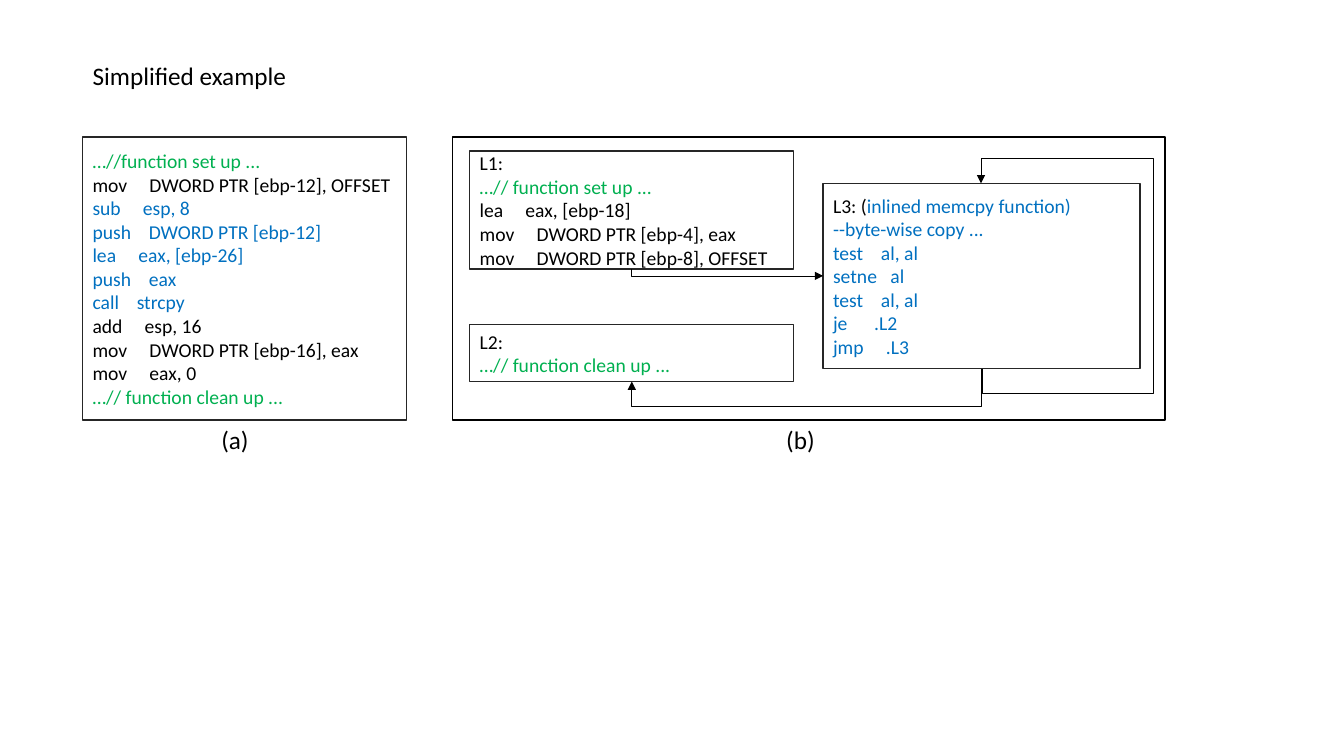
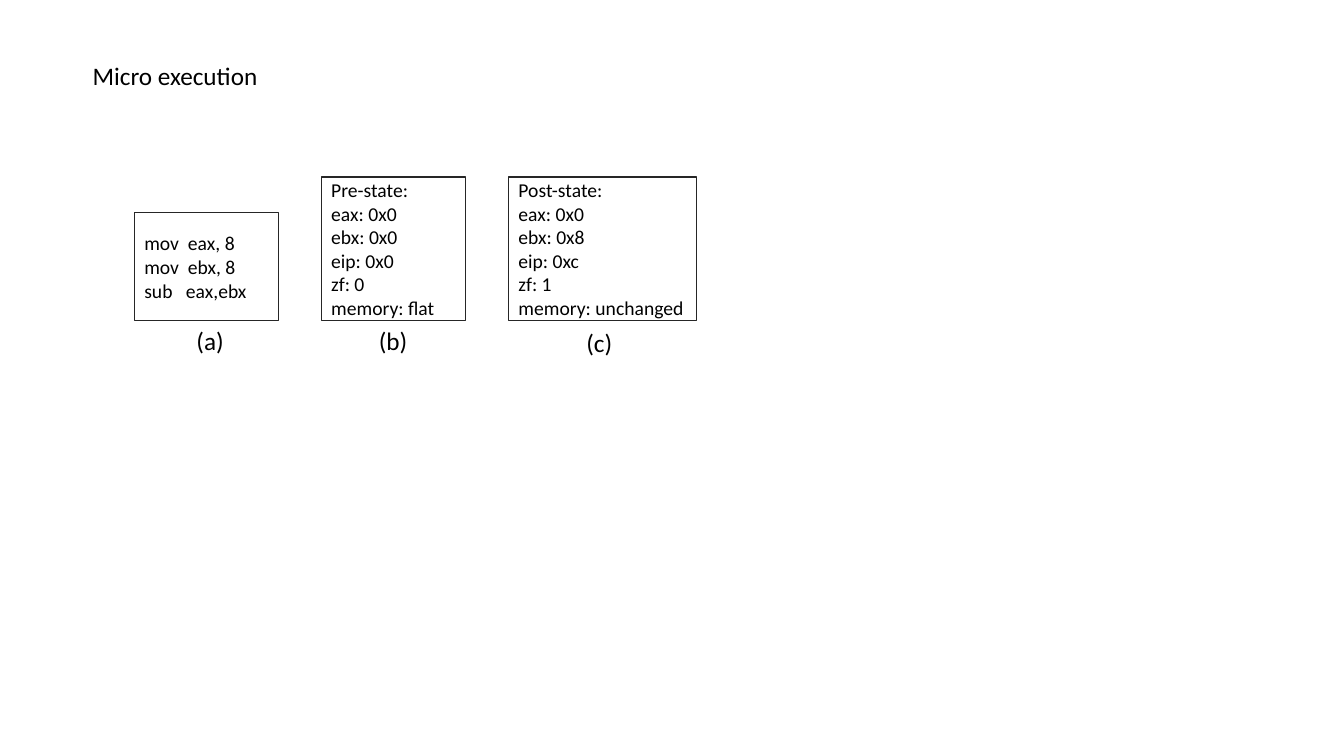
from dataclasses import dataclass
from typing import NamedTuple

from lxml.etree import SubElement
from pptx import Presentation
from pptx.dml.color import RGBColor
from pptx.enum.shapes import MSO_CONNECTOR as Link, MSO_SHAPE as Preset
from pptx.enum.text import MSO_ANCHOR as Anchor, PP_ALIGN as Align
from pptx.oxml.ns import qn
from pptx.shapes.autoshape import Shape
from pptx.slide import Slide
from pptx.text.text import TextFrame
from pptx.util import Pt


# Shared look
@dataclass(frozen=True)
class Theme:
    font: str = "Calibri"
    ink: RGBColor = RGBColor(0, 0, 0)
    border: RGBColor = RGBColor(0x26, 0x26, 0x26)
    note: RGBColor = RGBColor(0x00, 0xB0, 0x50)
    inlined: RGBColor = RGBColor(0x00, 0x70, 0xC0)
    title_size: float = 18
    code_size: float = 14
    border_width: float = 1
    arrow_width: float = 0.5


THEME = Theme()
TITLE_ONLY = 5
TOP, BOTTOM, LEFT = 0, 2, 1  # connection sites of a rectangle
OPCODE_COLUMN = 8


# Content types
class Run(NamedTuple):
    text: str
    color: RGBColor = THEME.ink


class Place(NamedTuple):
    left: float
    top: float
    width: float
    height: float


Line = tuple[Run, ...]


@dataclass(frozen=True)
class CodeBox:
    place: Place
    lines: tuple[Line, ...] = ()
    border: RGBColor = THEME.border


@dataclass(frozen=True)
class Caption:
    text: str
    left: float
    top: float


@dataclass(frozen=True)
class Arrow:
    preset: str
    source: Shape
    target: Shape
    target_site: int
    rotation: int
    flipped: bool = False
    drop: float = 0  # distance below the source box
    side: float = 0  # distance out to the side, for a loop


def plain(text: str) -> Line:
    return (Run(text),)


def note(text: str) -> Line:
    return (Run(text, THEME.note),)


def inlined(text: str) -> Line:
    return (Run(text, THEME.inlined),)


def asm(opcode: str, operands: str, color: RGBColor = THEME.ink) -> Line:
    return (Run(opcode.ljust(OPCODE_COLUMN) + operands, color),)


def inlined_asm(opcode: str, operands: str) -> Line:
    return asm(opcode, operands, THEME.inlined)


# Drawing
def write(frame: TextFrame, lines: tuple[Line, ...], size: float) -> None:
    frame.word_wrap = True
    for index, line in enumerate(lines):
        paragraph = frame.add_paragraph() if index else frame.paragraphs[0]
        paragraph.alignment = Align.LEFT
        paragraph.font.name = THEME.font
        paragraph.font.size = Pt(size)
        paragraph.font.color.rgb = line[0].color
        for part in line:
            run = paragraph.add_run()
            run.text = part.text
            if part.color != line[0].color:
                run.font.color.rgb = part.color


def points(place: Place) -> list[Pt]:
    return [Pt(length) for length in place]


def add_titled_slide(deck: Presentation, heading: str) -> Slide:
    slide = deck.slides.add_slide(deck.slide_layouts[TITLE_ONLY])
    title = slide.shapes.title
    title.left, title.top, title.width, title.height = points(Place(59, 39.5, 252, 29))
    title.text_frame.vertical_anchor = Anchor.TOP
    write(title.text_frame, (plain(heading),), THEME.title_size)
    return slide


def add_box(slide: Slide, box: CodeBox) -> Shape:
    shape = slide.shapes.add_shape(Preset.RECTANGLE, *points(box.place))
    shape.shadow.inherit = False
    shape.fill.background()
    shape.line.color.rgb = box.border
    shape.line.width = Pt(THEME.border_width)
    shape.text_frame.vertical_anchor = Anchor.MIDDLE
    write(shape.text_frame, box.lines, THEME.code_size)
    return shape


def add_caption(slide: Slide, caption: Caption) -> None:
    label = slide.shapes.add_textbox(*points(Place(caption.left, caption.top, 47.5, 29)))
    write(label.text_frame, (plain(caption.text),), THEME.title_size)


def add_arrow(slide: Slide, arrow: Arrow) -> None:
    link = slide.shapes.add_connector(Link.ELBOW, 0, 0, 0, 0)
    link.begin_connect(arrow.source, BOTTOM)
    link.end_connect(arrow.target, arrow.target_site)
    rise, run = link.end_y - link.begin_y, link.end_x - link.begin_x
    center_x = (link.begin_x + link.end_x) // 2
    center_y = (link.begin_y + link.end_y) // 2

    # A turned frame swaps width and height about the same centre
    length, depth = abs(rise), max(abs(run), Pt(1))
    properties = link._element.spPr
    frame = properties.find(qn("a:xfrm"))
    for flip in ("flipH", "flipV"):
        frame.attrib.pop(flip, None)
    if arrow.flipped:
        frame.set("flipH", "1")
    link.left, link.top = center_x - length // 2, center_y - depth // 2
    link.width, link.height = length, depth
    link.rotation = arrow.rotation

    # Bends, as shares of the frame
    bends: list[float] = []
    if arrow.drop:
        bends = [Pt(arrow.drop) / rise]
    if arrow.side:
        bends += [-Pt(arrow.side) / depth, 1 - bends[0]]
    geometry = properties.find(qn("a:prstGeom"))
    geometry.set("prst", arrow.preset)
    guides = geometry.find(qn("a:avLst"))
    for number, bend in enumerate(bends, start=1):
        SubElement(guides, qn("a:gd"), name=f"adj{number}", fmla=f"val {round(bend * 100000)}")

    link.line.color.rgb = THEME.ink
    link.line.width = Pt(THEME.arrow_width)
    SubElement(properties.find(qn("a:ln")), qn("a:tailEnd"), type="triangle")
    SubElement(properties, qn("a:effectLst"))


def build_example(deck: Presentation) -> None:
    slide = add_titled_slide(deck, "Simplified example")

    # (a) Call of the library function
    add_box(slide, CodeBox(Place(59, 98, 231.5, 202), (
        note("…//function set up ..."),
        asm("mov", "DWORD PTR [ebp-12], OFFSET"),
        inlined_asm("sub", "esp, 8"),
        inlined_asm("push", "DWORD PTR [ebp-12]"),
        inlined_asm("lea", "eax, [ebp-26]"),
        inlined_asm("push", "eax"),
        inlined_asm("call", "strcpy"),
        asm("add", "esp, 16"),
        asm("mov", "DWORD PTR [ebp-16], eax"),
        asm("mov", "eax, 0"),
        note("…// function clean up ..."),
    )))

    # (b) Inlined function as blocks
    add_box(slide, CodeBox(Place(323.25, 98, 509, 202), border=THEME.ink))
    setup = add_box(slide, CodeBox(Place(335.5, 108, 231.5, 84.25), (
        plain("L1: "),
        note("…// function set up ..."),
        asm("lea", "eax, [ebp-18]"),
        asm("mov", "DWORD PTR [ebp-4], eax"),
        asm("mov", "DWORD PTR [ebp-8], OFFSET"),
    )))
    copy_loop = add_box(slide, CodeBox(Place(588, 131, 226.5, 132.25), (
        (Run("L3: ("), Run("inlined memcpy function)", THEME.inlined)),
        inlined("--byte-wise copy ..."),
        inlined_asm("test", "al, al"),
        inlined_asm("setne", "al"),
        inlined_asm("test", "al, al"),
        inlined_asm("je", ".L2"),
        inlined_asm("jmp", ".L3"),
    )))
    cleanup = add_box(slide, CodeBox(Place(335.5, 232, 231.5, 40.5), (
        plain("L2:"),
        note("…// function clean up ..."),
    )))

    # Control flow
    for arrow in (
        Arrow("bentConnector3", copy_loop, cleanup, BOTTOM, 90, drop=27),
        Arrow("bentConnector2", setup, copy_loop, LEFT, 270, flipped=True),
        Arrow("bentConnector5", copy_loop, copy_loop, TOP, 90, flipped=True, drop=18, side=123),
    ):
        add_arrow(slide, arrow)

    for caption in (Caption("(a)", 151, 299.5), Caption("(b)", 554.5, 299.5)):
        add_caption(slide, caption)


def build_execution(deck: Presentation) -> None:
    slide = add_titled_slide(deck, "Micro execution")

    # Code, then the state before and after it
    code = ("mov  eax, 8", "mov  ebx, 8", "sub   eax,ebx")
    before = ("Pre-state:", "eax: 0x0", "ebx: 0x0", "eip: 0x0", "zf: 0", "memory: flat")
    after = ("Post-state:", "eax: 0x0", "ebx: 0x8", "eip: 0xc", "zf: 1", "memory: unchanged")
    for place, texts in (
        (Place(96, 152, 103, 77), code),
        (Place(229.5, 126.5, 103, 102.5), before),
        (Place(363.25, 126.5, 134.25, 102.5), after),
    ):
        add_box(slide, CodeBox(place, tuple(plain(text) for text in texts)))

    for caption in (
        Caption("(a)", 133.25, 229),
        Caption("(b)", 263.5, 229),
        Caption("(c)", 411.75, 230.5),
    ):
        add_caption(slide, caption)


deck = Presentation()
deck.slide_width, deck.slide_height = Pt(960), Pt(540)
build_example(deck)
build_execution(deck)
deck.save("out.pptx")
